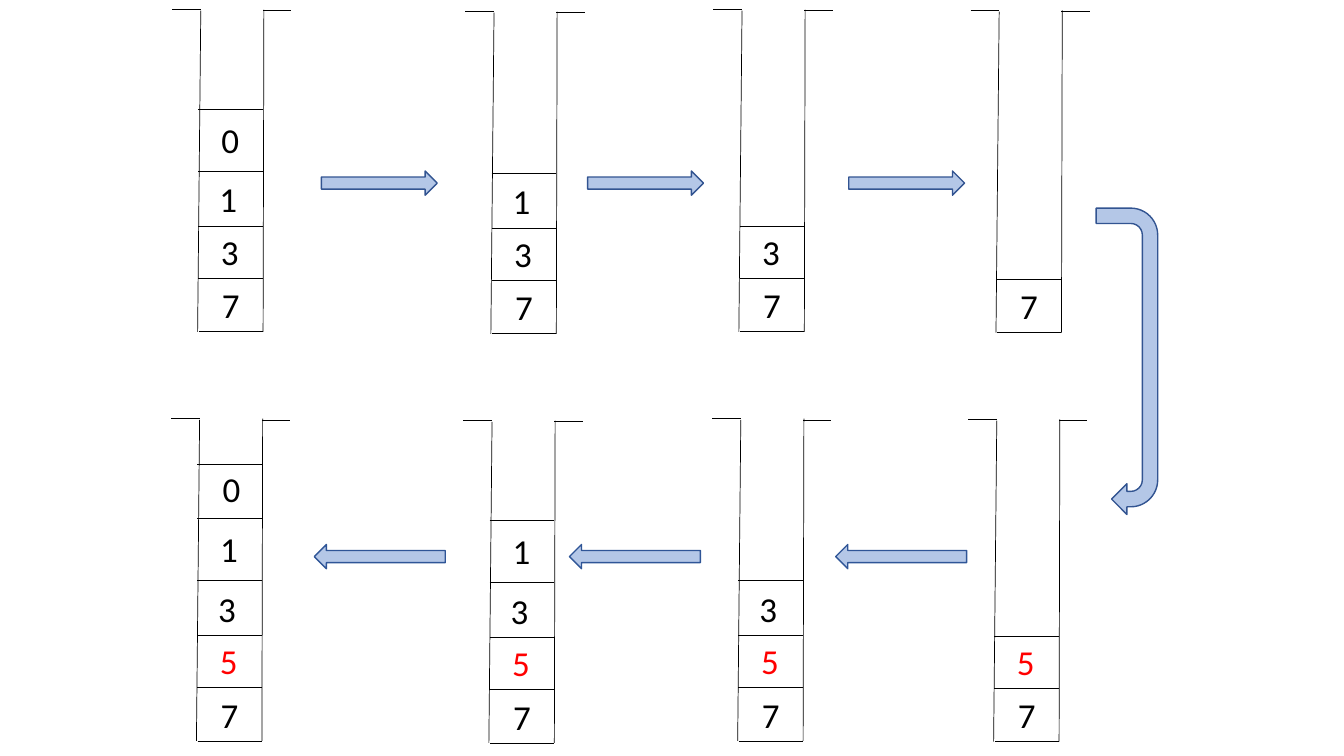
from dataclasses import dataclass

from pptx import Presentation
from pptx.dml.color import RGBColor
from pptx.enum.shapes import MSO_CONNECTOR, MSO_SHAPE
from pptx.enum.text import MSO_AUTO_SIZE
from pptx.oxml.ns import qn
from pptx.util import Cm, Pt
from lxml import etree

LINE = MSO_CONNECTOR.STRAIGHT
ARROW = MSO_SHAPE.RIGHT_ARROW
TURN = MSO_SHAPE.U_TURN_ARROW
GROW = MSO_AUTO_SIZE.SHAPE_TO_FIT_TEXT


@dataclass(frozen=True)
class Theme:
    font: str = "Calibri"
    size: float = 25
    ink: str = "000000"
    new: str = "FF0000"
    fill: str = "B4C7E7"
    pop: str = "325491"
    push: str = "2F5597"
    thin: float = 0.5
    edge: float = 1


THEME = Theme()

# Each level: shelf height, text inset, text height, text width.
LEVELS = [
    (1.35, 0.36, 1.33, 0.91),
    (2.65, 0.34, 2.67, 1.22),
    (4.04, 0.3, 4, 1.22),
    (5.6, 0.35, 5.49, 0.94),
    (6.96, 0.41, 7.01, 0.94),
]

STACKS = [
    (4.98, 8.36, "7310"),
    (12.37, 8.41, "731"),
    (18.62, 8.36, "73"),
    (25.1, 8.38, "7"),
    (4.95, 18.67, "75310"),
    (12.32, 18.72, "7531"),
    (18.59, 18.67, "753"),
    (25.04, 18.69, "75"),
]


def add_text(slide, text, x, y, wide, high=1.32, color=THEME.ink, size=THEME.size):
    box = slide.shapes.add_textbox(Cm(x), Cm(y), Cm(wide), Cm(high))
    frame = box.text_frame
    frame.word_wrap = True
    frame.auto_size = GROW
    run = frame.paragraphs[0].add_run()
    run.text = text
    run.font.name = THEME.font
    run.font.size = Pt(size)
    run.font.color.rgb = RGBColor.from_string(color)


def add_line(slide, x1, y1, x2, y2):
    line = slide.shapes.add_connector(LINE, Cm(x1), Cm(y1), Cm(x2), Cm(y2))
    line.line.color.rgb = RGBColor.from_string(THEME.ink)
    line.line.width = Pt(THEME.thin)
    etree.SubElement(line._element.spPr, qn("a:effectLst"))


def add_arrow(slide, kind, x, y, wide, high, edge, turn=0):
    arrow = slide.shapes.add_shape(kind, Cm(x), Cm(y), Cm(wide), Cm(high))
    arrow.shadow.inherit = False
    arrow.rotation = turn
    arrow.fill.solid()
    arrow.fill.fore_color.rgb = RGBColor.from_string(THEME.fill)
    arrow.line.color.rgb = RGBColor.from_string(edge)
    arrow.line.width = Pt(THEME.edge)


def add_stack(slide, x, floor, digits):
    top, right = floor - 8.12, x + 1.65
    add_line(slide, x - 0.64, top, x + 0.08, top)
    add_line(slide, right, top + 0.03, right + 0.71, top + 0.03)
    add_line(slide, x + 0.08, top + 0.03, x, floor)
    add_line(slide, right + 0.02, top, right, floor)
    add_line(slide, x + 0.03, floor, right, floor)
    for digit, (shelf, inset, rise, wide) in zip(digits, LEVELS):
        add_line(slide, x + 0.02, floor - shelf, right, floor - shelf)
        color = THEME.new if digit == "5" else THEME.ink
        add_text(slide, digit, x + inset, floor - rise, wide, color=color)


def main():
    deck = Presentation()
    deck.slide_width, deck.slide_height = Cm(33.87), Cm(19.05)
    slide = deck.slides.add_slide(deck.slide_layouts[6])
    for x, floor, digits in STACKS:
        add_stack(slide, x, floor, digits)
    for x in (8.1, 14.81, 21.39):
        add_arrow(slide, ARROW, x, 4.31, 2.92, 0.61, THEME.pop)
    for x in (21.06, 14.35, 7.92):
        add_arrow(slide, ARROW, x, 13.72, 3.3, 0.61, THEME.push, turn=180)
    add_arrow(slide, TURN, 24.54, 8.33, 7.72, 1.55, THEME.pop, turn=90)
    deck.save("out.pptx")


main()
